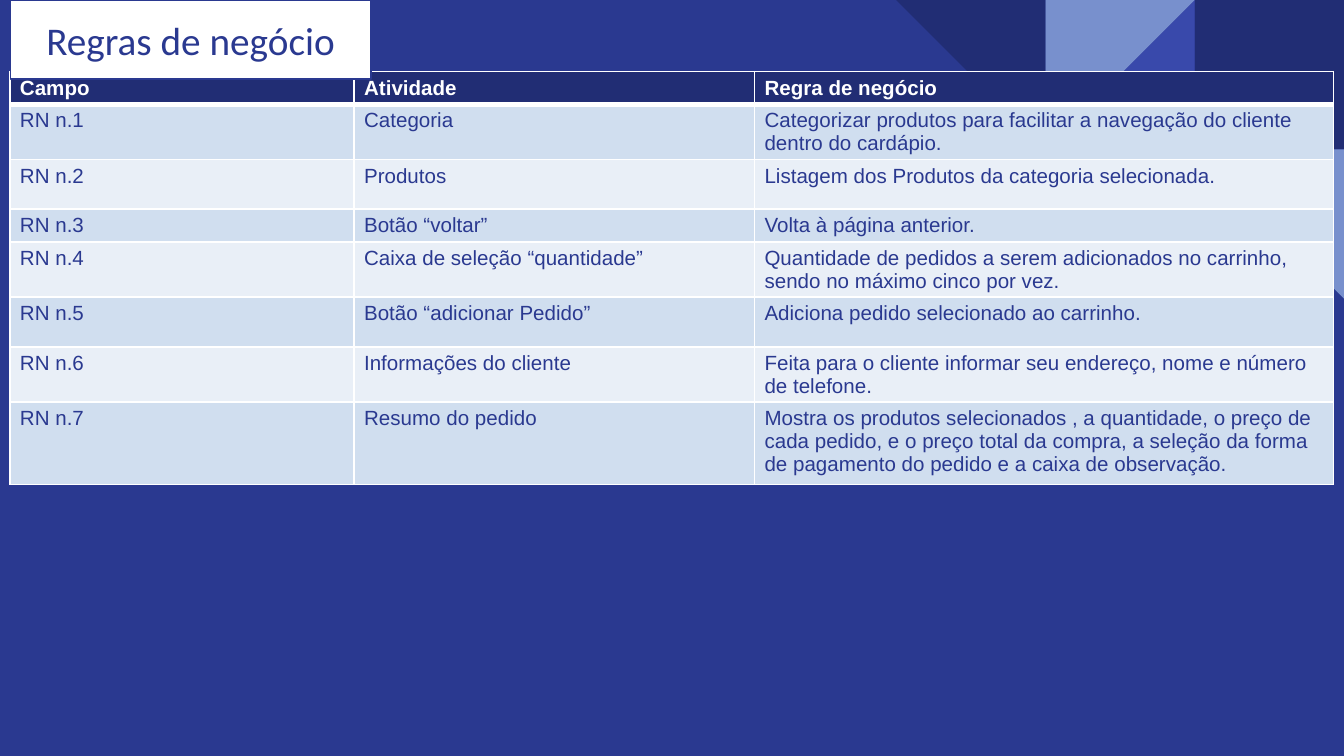
from lxml.etree import SubElement
from pptx import Presentation
from pptx.dml.color import RGBColor
from pptx.enum.shapes import MSO_SHAPE
from pptx.enum.text import MSO_ANCHOR, PP_ALIGN
from pptx.oxml.ns import qn
from pptx.util import Pt

BLUE = RGBColor(0x2A, 0x39, 0x90)
NAVY = RGBColor(0x21, 0x2D, 0x74)
INDIGO = RGBColor(0x39, 0x49, 0xAB)
PERIWINKLE = RGBColor(0x78, 0x90, 0xCD)
WHITE = RGBColor(0xFF, 0xFF, 0xFF)
BAND_DARK = RGBColor(0xD0, 0xDE, 0xEF)
BAND_LIGHT = RGBColor(0xE9, 0xEF, 0xF7)

HEADINGS = ("Campo", "Atividade", "Regra de negócio")
RULES = (
    ("Categoria", "Categorizar produtos para facilitar a navegação do cliente dentro do cardápio."),
    ("Produtos", "Listagem dos Produtos da categoria selecionada."),
    ("Botão “voltar”", "Volta à página anterior."),
    ("Caixa de seleção “quantidade”",
     "Quantidade de pedidos a serem adicionados no carrinho, sendo no máximo cinco por vez."),
    ("Botão “adicionar Pedido”", "Adiciona pedido selecionado ao carrinho."),
    ("Informações do cliente",
     "Feita para o cliente informar seu endereço, nome e número de telefone."),
    ("Resumo do pedido",
     "Mostra os produtos selecionados , a quantidade, o preço de cada pedido, e o preço total "
     "da compra, a seleção da forma de pagamento do pedido e a caixa de observação."),
)
COLUMN_SHARES = (0.26, 0.3025, 0.4375)
ROW_HEIGHTS = (15.2, 26.6, 26.6, 15.2, 15.2, 26.6, 26.6, 44)


def add_corner_tiles(slide, left, top, tile):
    """Place the corner mosaic on a grid of square tiles."""
    tiles = (
        (2, 0, MSO_SHAPE.RECTANGLE, 0, NAVY),
        (1, 0, MSO_SHAPE.RIGHT_TRIANGLE, 270, INDIGO),
        (1, 0, MSO_SHAPE.RIGHT_TRIANGLE, 90, PERIWINKLE),
        (0, 0, MSO_SHAPE.RIGHT_TRIANGLE, 180, NAVY),
        (2, 1, MSO_SHAPE.RIGHT_TRIANGLE, 180, PERIWINKLE),
    )
    for column, row, preset, rotation, color in tiles:
        piece = slide.shapes.add_shape(
            preset, Pt(left + column * tile), Pt(top + row * tile), Pt(tile), Pt(tile))
        piece.rotation = rotation
        piece.shadow.inherit = False
        piece.fill.solid()
        piece.fill.fore_color.rgb = color
        piece.line.fill.background()


def set_borders(cell, top, bottom):
    """Give a cell white borders, with the top and bottom widths in points."""
    properties = cell._tc.get_or_add_tcPr()
    for side, width in (("lnL", 1), ("lnR", 1), ("lnT", top), ("lnB", bottom)):
        border = SubElement(properties, qn(f"a:{side}"), w=str(Pt(width)))
        fill = SubElement(border, qn("a:solidFill"))
        SubElement(fill, qn("a:srgbClr"), val=str(WHITE))


def add_rules_table(slide, left, top, width):
    """Place the banded table of business rules."""
    rows = [HEADINGS]
    rows += [(f"RN n.{number}", *rule) for number, rule in enumerate(RULES, 1)]
    rules = slide.shapes.add_table(
        len(rows), len(HEADINGS), Pt(left), Pt(top), Pt(width), Pt(sum(ROW_HEIGHTS))).table
    for column, share in zip(rules.columns, COLUMN_SHARES):
        column.width = Pt(width * share)
    for index, (texts, height) in enumerate(zip(rows, ROW_HEIGHTS)):
        rules.rows[index].height = Pt(height)
        is_header = index == 0
        band = NAVY if is_header else (BAND_LIGHT, BAND_DARK)[index % 2]
        for cell, text in zip(rules.rows[index].cells, texts):
            set_borders(cell, 3 if index == 1 else 1, 3 if is_header else 1)
            cell.fill.solid()
            cell.fill.fore_color.rgb = band
            cell.margin_left = cell.margin_right = Pt(5.4)
            cell.margin_top = cell.margin_bottom = Pt(2.6)
            cell.text = text
            font = cell.text_frame.paragraphs[0].font
            font.name = "Arial"
            font.size = Pt(11)
            font.bold = is_header
            font.color.rgb = WHITE if is_header else BLUE


def add_title(slide, left, top, width, height):
    """Place the white title box."""
    title = slide.shapes.add_shape(
        MSO_SHAPE.RECTANGLE, Pt(left), Pt(top), Pt(width), Pt(height))
    title.shadow.inherit = False
    title.fill.solid()
    title.fill.fore_color.rgb = WHITE
    title.line.color.rgb = BLUE
    title.line.width = Pt(1)
    frame = title.text_frame
    frame.word_wrap = True
    frame.vertical_anchor = MSO_ANCHOR.MIDDLE
    frame.margin_left = frame.margin_right = Pt(5.4)
    frame.margin_top = frame.margin_bottom = Pt(2.7)
    frame.text = "Regras de negócio"
    heading = frame.paragraphs[0]
    heading.alignment = PP_ALIGN.CENTER
    heading.font.name = "Calibri"
    heading.font.size = Pt(21)
    heading.font.color.rgb = BLUE


def main():
    """Build the business rules slide."""
    presentation = Presentation()
    presentation.slide_width = Pt(720)
    presentation.slide_height = Pt(405)
    slide = presentation.slides.add_slide(presentation.slide_layouts[6])
    slide.background.fill.solid()
    slide.background.fill.fore_color.rgb = BLUE
    add_corner_tiles(slide, 480, 0, 80)
    add_rules_table(slide, 5.3, 38.4, 709.2)
    add_title(slide, 5.6, 0, 193, 42.2)
    presentation.save("out.pptx")


if __name__ == "__main__":
    main()
